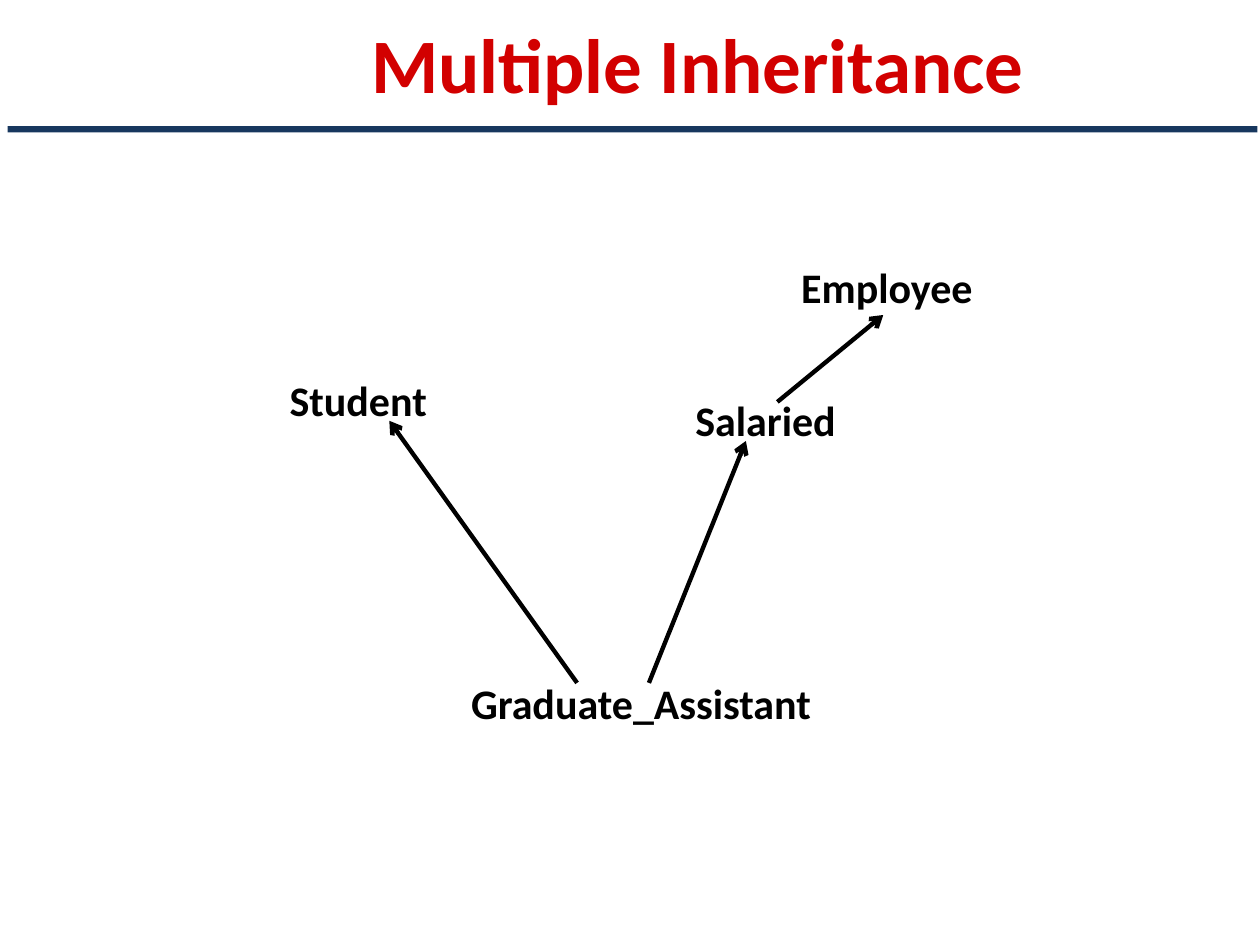
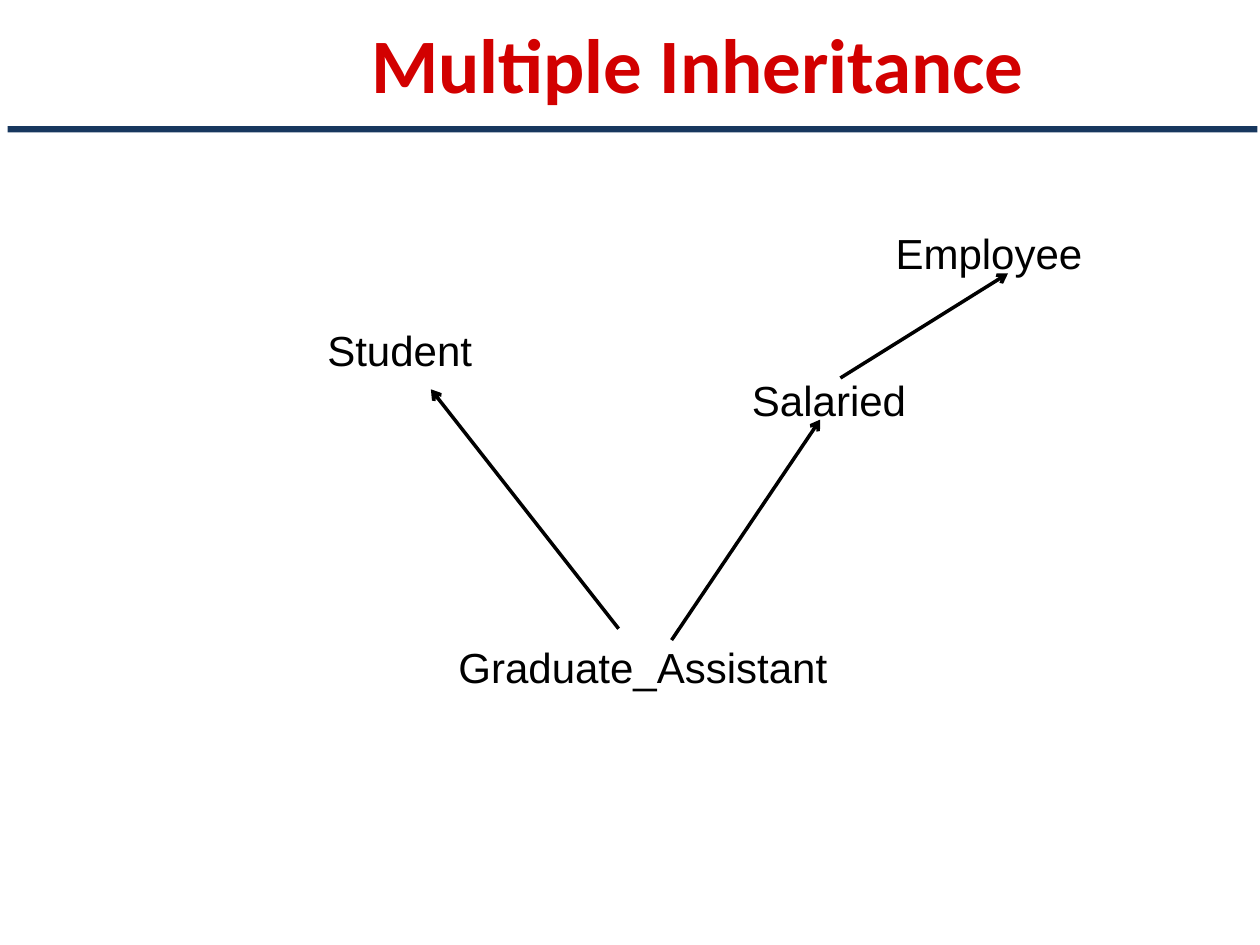
"""Build two slides that show a multiple inheritance diagram."""
from lxml import etree
from pptx import Presentation
from pptx.dml.color import RGBColor
from pptx.enum import shapes, text
from pptx.oxml import ns
from pptx.util import Inches, Pt

RED = RGBColor(0xD2, 0x00, 0x00)
NAVY = RGBColor(0x17, 0x37, 0x5E)
BLACK = RGBColor(0, 0, 0)

TITLE = "Multiple Inheritance"
TITLE_BOX = (1.08, 0, 8.92, 1)
RULE_BOX = (0.06, 1, 9.92, 0.05)
LABEL_H = 0.5

# Labels are (left, top, width); arrows are (parent end, child end).
SLIDES = [
    {
        "font": "Calibri", "bold": True, "weight": 2.5,
        "labels": {
            "Student": (2.2, 2.92, 1.3),
            "Employee": (6.26, 2.03, 1.58),
            "Graduate_Assistant": (3.64, 5.33, 2.93),
            "Salaried": (5.42, 3.08, 1.33),
        },
        "arrows": [
            ((3.09, 3.34), (4.58, 5.42)),
            ((7.01, 2.5), (6.17, 3.19)),
            ((5.92, 3.5), (5.15, 5.42)),
        ],
    },
    {
        "font": "Arial", "bold": False, "weight": 2,
        "labels": {
            "Student": (2.5, 2.53, 1.36),
            "Employee": (7.01, 1.76, 1.7),
            "Graduate_Assistant": (3.54, 5.04, 3.16),
            "Salaried": (5.87, 2.92, 1.44),
        },
        "arrows": [
            ((3.42, 3.09), (4.91, 4.99)),
            ((8, 2.17), (6.67, 3)),
            ((6.51, 3.33), (5.33, 5.08)),
        ],
    },
]


def write(shape, words, font="Calibri", size=24, bold=False, color=BLACK,
          align=text.PP_ALIGN.LEFT, anchor=text.MSO_ANCHOR.TOP, wrap=False,
          fit=text.MSO_AUTO_SIZE.SHAPE_TO_FIT_TEXT):
    """Put formatted words in a shape."""
    frame = shape.text_frame
    frame.word_wrap = wrap
    frame.auto_size = fit
    frame.vertical_anchor = anchor
    para = frame.paragraphs[0]
    para.alignment = align
    run = para.add_run()
    run.text = words
    run.font.name = font
    run.font.size = Pt(size)
    run.font.bold = bold
    run.font.color.rgb = color


def add_head(slide):
    """Fill the title and draw the rule below it."""
    title = slide.shapes.title
    title.left, title.top, title.width, title.height = map(Inches, TITLE_BOX)
    write(title, TITLE, size=44, bold=True, color=RED, wrap=True,
          align=text.PP_ALIGN.CENTER, anchor=text.MSO_ANCHOR.MIDDLE,
          fit=text.MSO_AUTO_SIZE.NONE)
    rule = slide.shapes.add_shape(shapes.MSO_SHAPE.RECTANGLE,
                                  *map(Inches, RULE_BOX))
    rule.shadow.inherit = False
    rule.fill.solid()
    rule.fill.fore_color.rgb = NAVY
    rule.line.fill.background()


def add_arrow(slide, parent, child, weight):
    """Draw a line whose arrowhead lies at the parent class."""
    line = slide.shapes.add_connector(shapes.MSO_CONNECTOR.STRAIGHT,
                                      *map(Inches, parent + child))
    line.line.color.rgb = BLACK
    line.line.width = Pt(weight)
    props = line.line._get_or_add_ln()
    etree.SubElement(props, ns.qn("a:headEnd"), type="arrow")
    etree.SubElement(line._element.spPr, ns.qn("a:effectLst"))


def add_tree(slide, font, bold, weight, labels, arrows):
    """Place the class names and the arrows between them."""
    for name, (left, top, width) in labels.items():
        box = slide.shapes.add_textbox(*map(Inches, (left, top, width, LABEL_H)))
        write(box, name, font=font, bold=bold)
    for parent, child in arrows:
        add_arrow(slide, parent, child, weight)


def main():
    """Make the deck and save it."""
    deck = Presentation()
    deck.slide_width, deck.slide_height = Inches(10), Inches(7.5)
    for tree in SLIDES:
        slide = deck.slides.add_slide(deck.slide_layouts[5])
        add_head(slide)
        add_tree(slide, **tree)
    deck.save("out.pptx")


if __name__ == "__main__":
    main()
